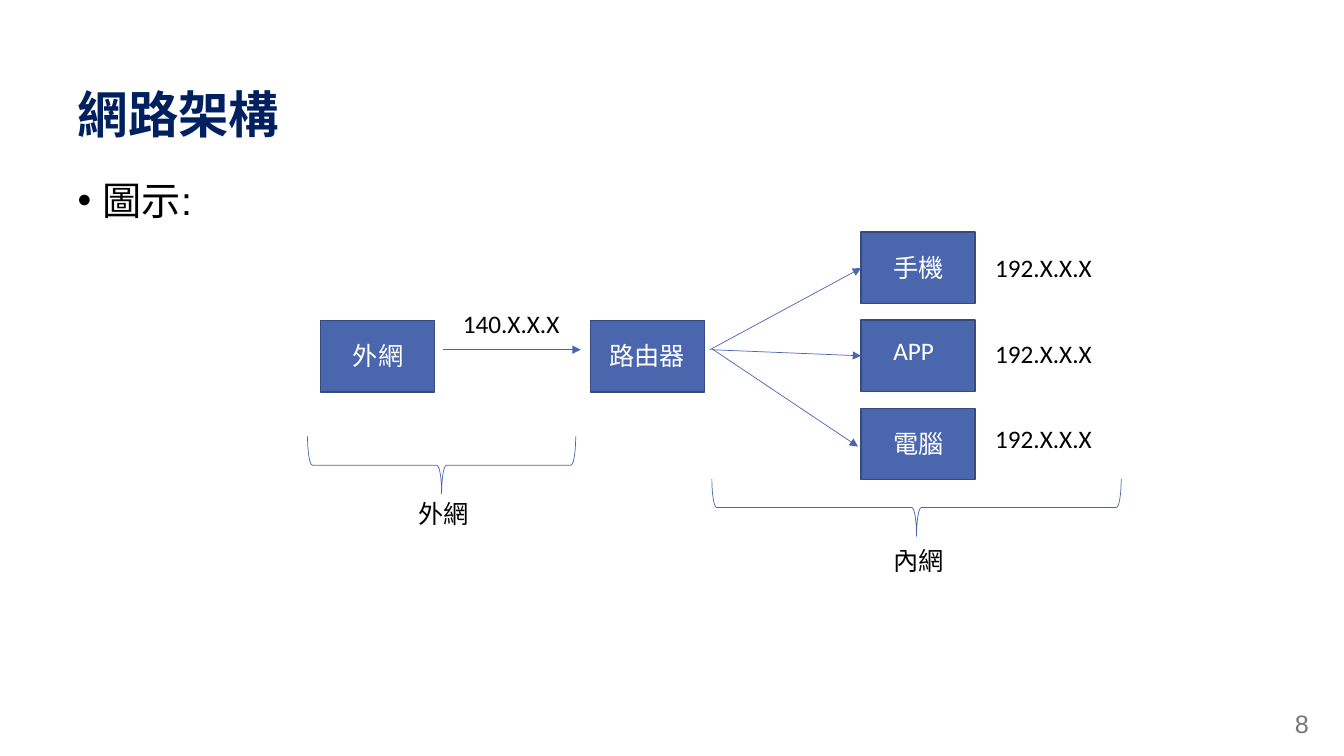
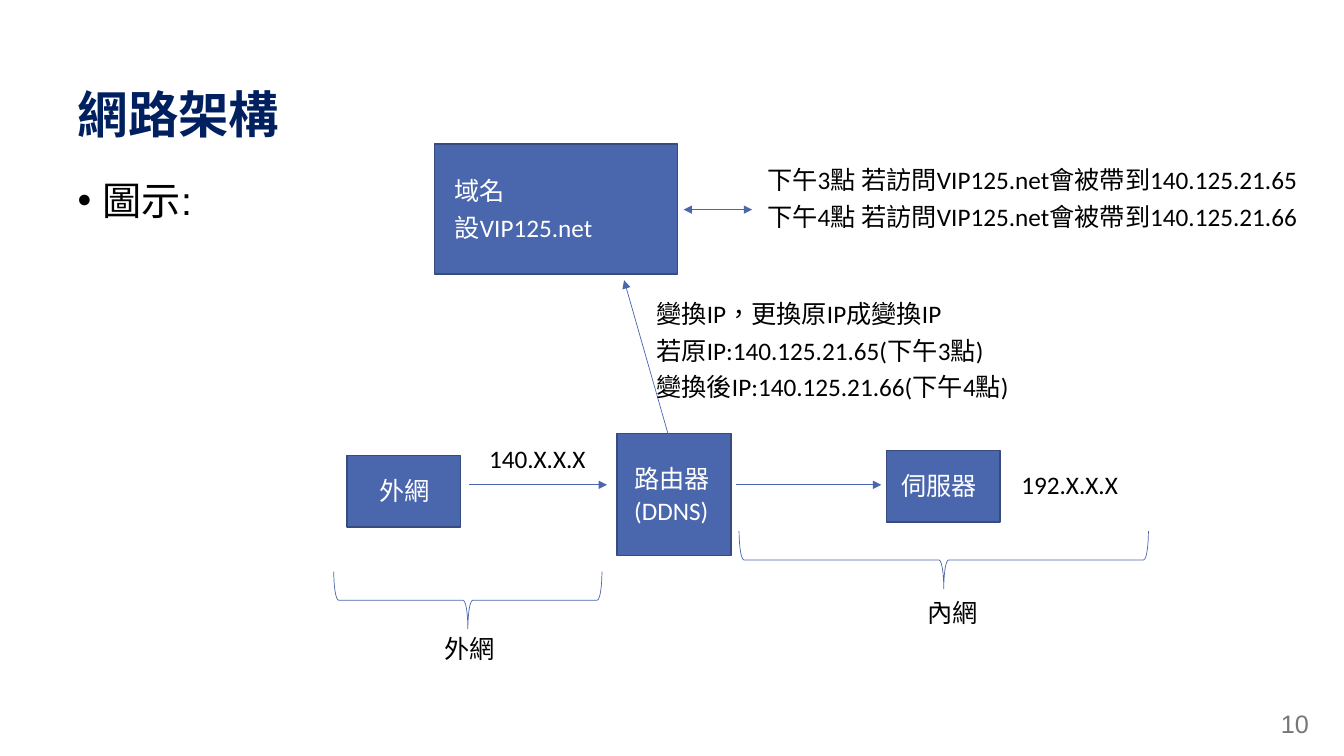
from dataclasses import dataclass

from pptx import Presentation
from pptx import util as u
from pptx.dml.color import RGBColor
from pptx.enum import shapes, text
from pptx.oxml import ns
from lxml import etree


@dataclass(frozen=True)
class Theme:
    title: RGBColor = RGBColor(0x00, 0x20, 0x60)
    ink: RGBColor = RGBColor(0, 0, 0)
    paper: RGBColor = RGBColor(255, 255, 255)
    accent: RGBColor = RGBColor(0x4A, 0x66, 0xAC)
    edge: RGBColor = RGBColor(0x37, 0x4B, 0x7F)
    muted: RGBColor = RGBColor(0x77, 0x77, 0x77)
    heading_font: str = "Arial"
    diagram_font: str = "Calibri"
    title_size: int = 36
    body_size: int = 28
    label_size: int = 18
    language: str = "zh-TW"


THEME = Theme()
NODE_W, NODE_H = 1.13, 0.71
BRACE_DEPTH = 0.57


def style(paragraph, font, size, color, bold=False):
    paragraph.font.name = font
    paragraph.font.size = u.Pt(size)
    paragraph.font.color.rgb = color
    paragraph.font.bold = bold


def place(shape, left, top, width, height):
    shape.left, shape.top = u.Inches(left), u.Inches(top)
    shape.width, shape.height = u.Inches(width), u.Inches(height)


# Diagram parts
def add_label(slide, left, top, *lines, width=1.26, height=0.55, color=THEME.ink):
    """One-cell table without fill or borders, one paragraph per line."""
    table = slide.shapes.add_table(
        1, 1, u.Inches(left), u.Inches(top), u.Inches(width), u.Inches(height)).table
    table.first_row = table.horz_banding = False
    cell = table.cell(0, 0)
    borders = cell._tc.get_or_add_tcPr()
    for side in ("a:lnL", "a:lnR", "a:lnT", "a:lnB"):
        etree.SubElement(etree.SubElement(borders, ns.qn(side), w="0"),
                         ns.qn("a:noFill"))
    cell.fill.background()
    cell.text_frame.text = "\n".join(lines)
    for paragraph in cell.text_frame.paragraphs:
        style(paragraph, THEME.diagram_font, THEME.label_size, color)
        for run in paragraph.runs:
            run._r.get_or_add_rPr().set("lang", THEME.language)


def add_node(slide, left, top, *lines, label_dx, label_dy=0.11,
             width=NODE_W, height=NODE_H, label_height=0.55):
    """Process box whose label reaches to its right edge."""
    node = slide.shapes.add_shape(
        shapes.MSO_SHAPE.FLOWCHART_PROCESS,
        u.Inches(left), u.Inches(top), u.Inches(width), u.Inches(height))
    node.shadow.inherit = False
    node.fill.solid()
    node.fill.fore_color.rgb = THEME.accent
    node.line.color.rgb = THEME.edge
    node.line.width = u.Pt(1)
    add_label(slide, left + label_dx, top + label_dy, *lines,
              width=width - label_dx, height=label_height, color=THEME.paper)


def add_arrow(slide, start, end, both_ends=False):
    arrow = slide.shapes.add_connector(
        shapes.MSO_CONNECTOR.STRAIGHT, *(u.Inches(v) for v in (*start, *end)))
    arrow.line.color.rgb = THEME.accent
    arrow.line.width = u.Pt(0.5)
    properties = arrow.line._get_or_add_ln()
    for tag in ("a:headEnd", "a:tailEnd") if both_ends else ("a:tailEnd",):
        etree.SubElement(properties, ns.qn(tag), type="triangle")
    etree.SubElement(arrow._element.spPr, ns.qn("a:effectLst"))


def add_brace(slide, left, top, width, caption, caption_dx, caption_dy):
    """Downward brace spanning the given width, with a caption under its tip."""
    middle_x, middle_y = left + width / 2, top + BRACE_DEPTH / 2
    brace = slide.shapes.add_shape(
        shapes.MSO_SHAPE.RIGHT_BRACE,
        u.Inches(middle_x - BRACE_DEPTH / 2), u.Inches(middle_y - width / 2),
        u.Inches(BRACE_DEPTH), u.Inches(width))
    brace.rotation = 90
    brace.shadow.inherit = False
    brace.fill.background()
    brace.line.color.rgb = THEME.accent
    brace.line.width = u.Pt(0.5)
    add_label(slide, left + caption_dx, top + caption_dy, caption, height=0.5)


# Regions
def outer_network(slide, left, top):
    add_node(slide, left + 0.13, top + 0.16, "外網", label_dx=0.22)
    add_arrow(slide, (left + 1.34, top + 0.45), (left + 2.71, top + 0.45))
    add_label(slide, left + 1.44, top, "140.X.X.X")
    add_brace(slide, left, top + 1.31, 2.66, "外網", 1, 0.52)


def inner_network(slide, left, top, caption_dx):
    add_brace(slide, left, top, 4.06, "內網", caption_dx, BRACE_DEPTH)


def devices(slide, left, top):
    """Stack of devices, each with its address and an arrow from the router."""
    rows = (("手機", 0.16, (-1.5, 1.17), (0, 0.36)),
            ("APP", 1.02, (-1.48, 1.17), (0, 1.23)),
            ("電腦", 1.86, (-1.48, 1.16), (-0.03, 2.13)))
    for row, (name, address_dy, start, end) in enumerate(rows):
        add_node(slide, left, top + row * 0.875, name, label_dx=0.22)
        add_label(slide, left + 1.23, top + address_dy, "192.X.X.X")
        add_arrow(slide, (left + start[0], top + start[1]),
                  (left + end[0], top + end[1]))


def domain(slide, left, top):
    """Domain record and the addresses it resolves to over time."""
    add_node(slide, left, top, "域名", "設VIP125.net", width=2.41, height=1.29,
             label_dx=0.1, label_dy=0.22, label_height=0.7)
    add_arrow(slide, (left + 2.47, top + 0.65), (left + 3.15, top + 0.65),
              both_ends=True)
    add_label(slide, left + 3.2, top + 0.11,
              "下午3點 若訪問VIP125.net會被帶到140.125.21.65",
              "下午4點 若訪問VIP125.net會被帶到140.125.21.66",
              width=5.88, height=1.13)


def ddns_update(slide, left, top):
    add_arrow(slide, (left + 0.44, top + 1.54), (left, top))
    add_label(slide, left + 0.22, top + 0.09,
              "變換IP，更換原IP成變換IP",
              "若原IP:140.125.21.65(下午3點)",
              "變換後IP:140.125.21.66(下午4點)",
              width=4.32, height=1.13)


# Shared slide frame
def new_slide(deck, number):
    slide = deck.slides.add_slide(deck.slide_layouts[1])
    heading, body = slide.shapes.title, slide.placeholders[1]

    place(heading, 0.67, 0.78, 12, 0.77)
    heading.text_frame.text = "網路架構"
    heading.text_frame.vertical_anchor = text.MSO_ANCHOR.MIDDLE
    title_line = heading.text_frame.paragraphs[0]
    title_line.alignment = text.PP_ALIGN.LEFT
    title_line.line_spacing = 0.9
    style(title_line, THEME.heading_font, THEME.title_size, THEME.title, bold=True)

    place(body, 0.67, 1.75, 12, 0.85)
    body.text_frame.text = "圖示:"
    bullet_line = body.text_frame.paragraphs[0]
    bullet_line.line_spacing = 0.9
    bullet_line.space_before = u.Pt(10)
    style(bullet_line, THEME.heading_font, THEME.body_size, THEME.ink)
    indent = bullet_line._p.get_or_add_pPr()
    indent.set("marL", str(u.Inches(0.25)))
    indent.set("indent", str(-u.Inches(0.25)))

    page = slide.shapes.add_textbox(
        u.Inches(12.08), u.Inches(6.98), u.Inches(1), u.Inches(0.4))
    page.text_frame.word_wrap = True
    page.text_frame.text = str(number)
    page_line = page.text_frame.paragraphs[0]
    page_line.alignment = text.PP_ALIGN.RIGHT
    style(page_line, THEME.heading_font, THEME.label_size, THEME.muted)
    return slide


# Slides
def router_slide(deck):
    slide = new_slide(deck, 8)
    outer_network(slide, 3.05, 3.02)
    add_node(slide, 5.86, 3.18, "路由器", label_dx=0.08)
    devices(slide, 8.54, 2.3)
    inner_network(slide, 7.06, 4.75, caption_dx=1.7)


def ddns_slide(deck):
    slide = new_slide(deck, 10)
    outer_network(slide, 3.31, 4.36)
    add_node(slide, 6.12, 4.3, "路由器", "(DDNS)", height=1.21,
             label_dx=0.07, label_dy=0.21, label_height=0.7)
    add_arrow(slide, (7.3, 4.81), (8.74, 4.81))
    add_node(slide, 8.79, 4.47, "伺服器", label_dx=0.05)
    add_label(slide, 10.03, 4.62, "192.X.X.X")
    inner_network(slide, 7.33, 5.27, caption_dx=1.77)
    domain(slide, 4.31, 1.43)
    ddns_update(slide, 6.19, 2.78)


def main():
    deck = Presentation()
    deck.slide_width, deck.slide_height = u.Inches(13.33), u.Inches(7.5)
    router_slide(deck)
    ddns_slide(deck)
    deck.save("out.pptx")


if __name__ == "__main__":
    main()
